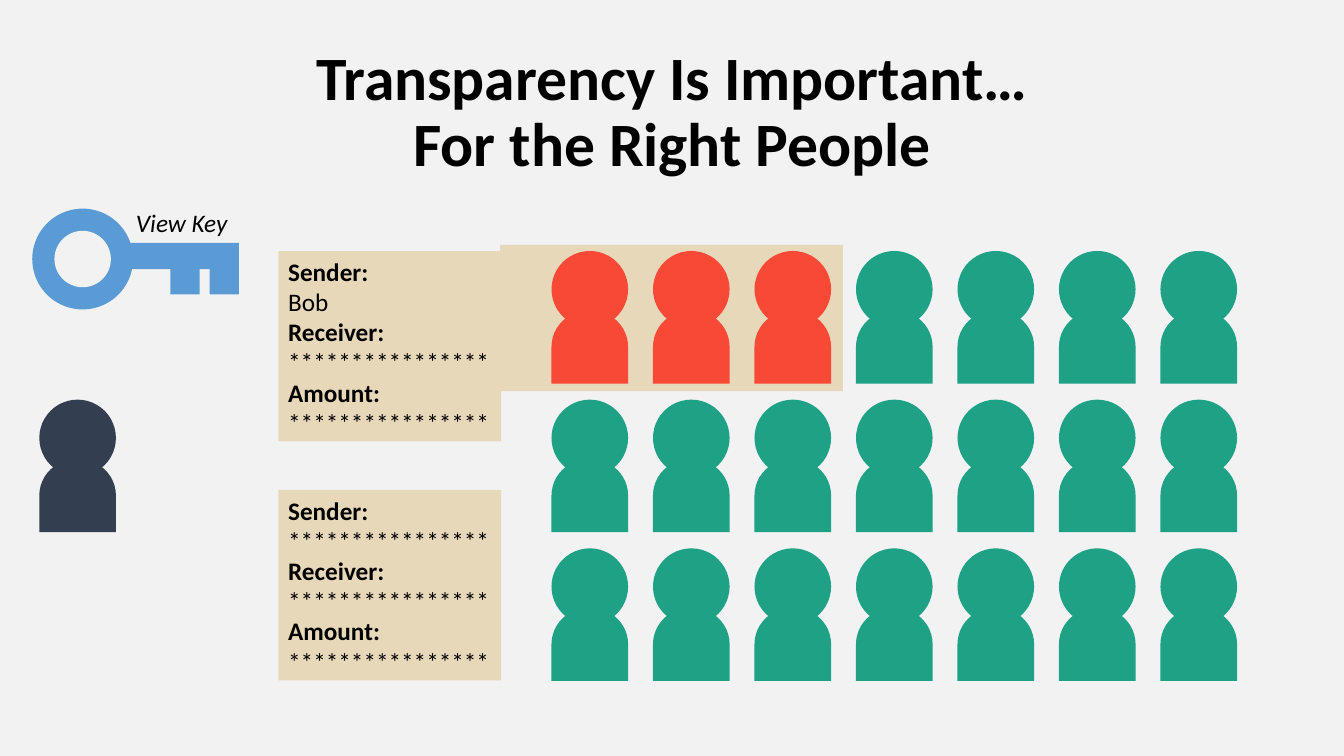
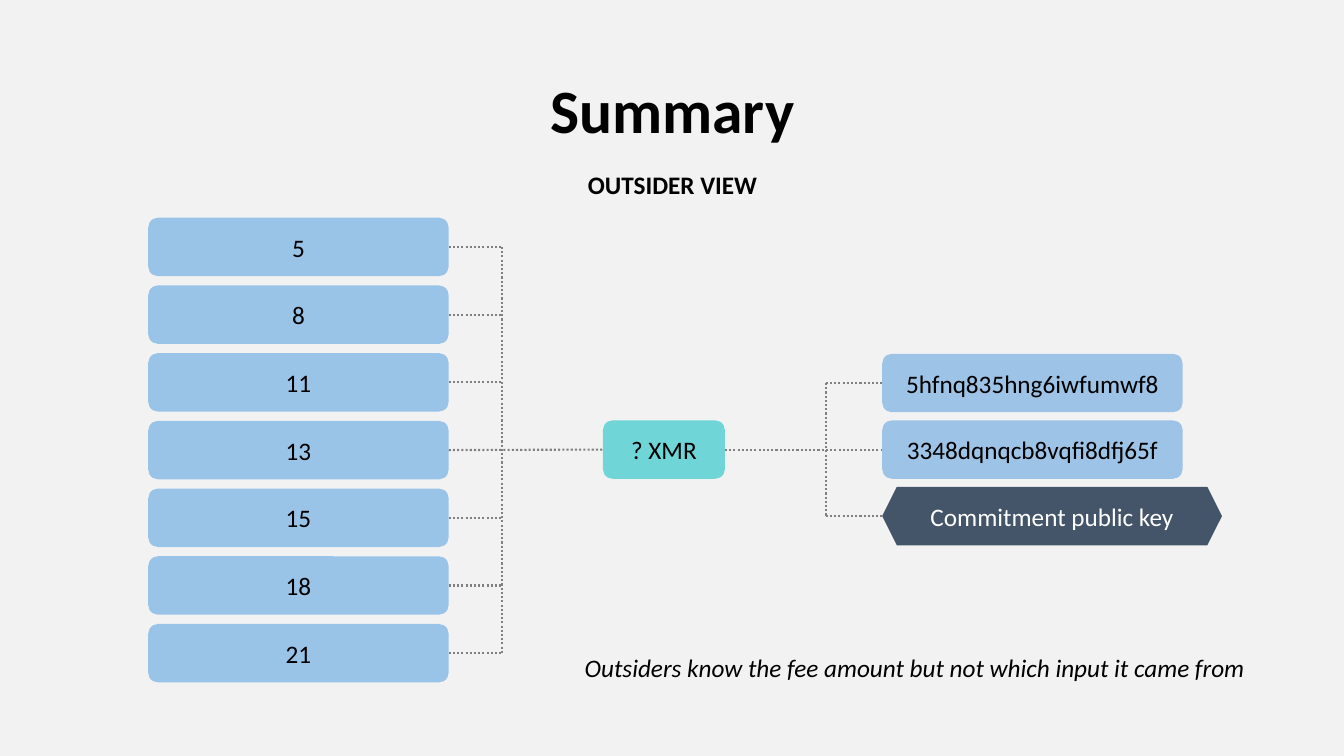
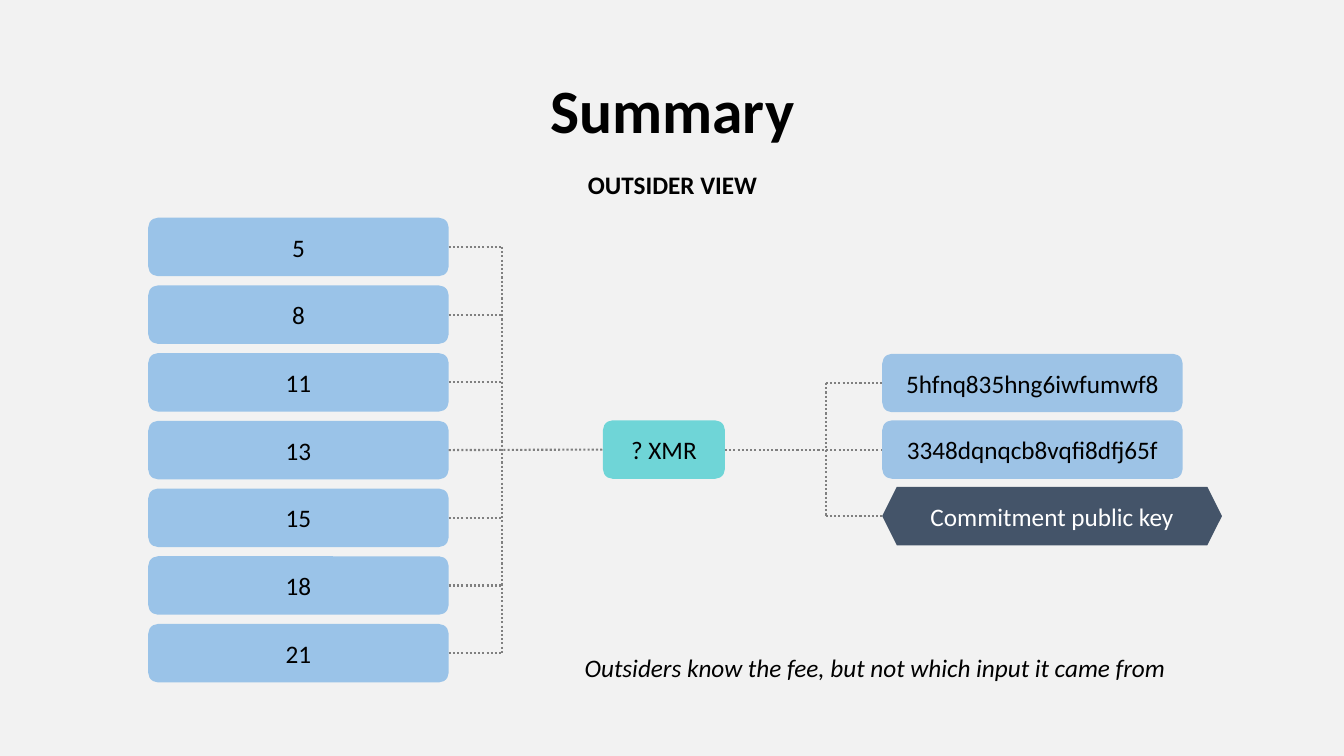
"""Build three slides on transaction privacy: view keys and the outsider view."""
from lxml import etree
from pptx import Presentation
from pptx.dml.color import RGBColor
from pptx.enum.dml import MSO_LINE_DASH_STYLE as Dash
from pptx.enum.shapes import MSO_CONNECTOR, MSO_SHAPE as Preset
from pptx.enum.text import MSO_ANCHOR as Anchor, PP_ALIGN as Align
from pptx.oxml.ns import qn
from pptx.util import Inches, Pt

FONT = "Calibri"
BACKGROUND = RGBColor(0xF2, 0xF2, 0xF2)
BLACK = RGBColor(0x00, 0x00, 0x00)
WHITE = RGBColor(0xFF, 0xFF, 0xFF)
SAND = RGBColor(0xE8, 0xD8, 0xBA)
RED = RGBColor(0xF8, 0x48, 0x36)
GREEN = RGBColor(0x1E, 0xA1, 0x85)
NAVY = RGBColor(0x33, 0x3F, 0x50)
KEY_BLUE = RGBColor(0x5B, 0x9B, 0xD5)
INPUT_BLUE = RGBColor(0x9A, 0xC3, 0xE8)
OUTPUT_BLUE = RGBColor(0x9D, 0xC3, 0xE6)
TEAL = RGBColor(0x6F, 0xD5, 0xD7)
SLATE = RGBColor(0x44, 0x54, 0x69)
GREY = RGBColor(0x80, 0x80, 0x80)

TITLE_PEOPLE = "Transparency Is Important…\vFor the Right People"
TITLE_SUMMARY = "Summary"
HIDDEN = "*" * 16
CARDS = [
    (2.49, ["Sender:", "Bob", "Receiver:", HIDDEN, "Amount:", HIDDEN]),
    (4.86, ["Sender:", HIDDEN, "Receiver:", HIDDEN, "Amount:", HIDDEN]),
]
KEY_PARTS = [
    (Preset.OVAL, 0.32, 2.07, 1, 1, KEY_BLUE),
    (Preset.OVAL, 0.54, 2.29, 0.56, 0.56, BACKGROUND),
    (Preset.RECTANGLE, 1.26, 2.41, 1.11, 0.26, KEY_BLUE),
    (Preset.RECTANGLE, 1.69, 2.58, 0.29, 0.34, KEY_BLUE),
    (Preset.RECTANGLE, 2.08, 2.58, 0.29, 0.34, KEY_BLUE),
]
CROWD_ROWS, CROWD_COLUMNS, INFORMED = 3, 7, 3
HEAD, BODY, SHOULDER = 0.76, 0.73, 0.57

INPUTS = ["5", "8", "11", "13", "15", "18", "21"]
OUTPUTS = [
    ("5hfnq835hng6iwfumwf8", Preset.ROUNDED_RECTANGLE, 2.98, OUTPUT_BLUE, BLACK),
    ("3348dqnqcb8vqfi8dfj65f", Preset.ROUNDED_RECTANGLE, 2.98, OUTPUT_BLUE, BLACK),
    ("Commitment public key", Preset.HEXAGON, 3.37, SLATE, WHITE),
]
NOTES = [
    ("Outsiders know the fee amount but not which input it came from", 6.88),
    ("Outsiders know the fee, but not which input it came from", 6.03),
]
BOX_HEIGHT = 0.58
INPUT_LEFT, INPUT_WIDTH = 1.47, 2.98
FEE_LEFT, FEE_TOP, FEE_WIDTH = 5.98, 4.17, 1.21
OUTPUT_LEFT = 8.75
INPUT_TRUNK, OUTPUT_TRUNK = 4.98, 8.19
LEFT_SIDE, RIGHT_SIDE = 1, 3


def spread(first, last, count):
    """Return evenly spaced positions from first to last."""
    return [first + (last - first) * index / (count - 1) for index in range(count)]


def write(shape, text, size=18, color=BLACK, bold=False, italic=False,
          align=Align.LEFT, spacing=None, append=False):
    """Write one paragraph of formatted text into a shape."""
    frame = shape.text_frame
    paragraph = frame.add_paragraph() if append else frame.paragraphs[0]
    paragraph.text = text
    paragraph.alignment = align
    if spacing:
        paragraph.line_spacing = spacing
    font = paragraph.font
    font.name, font.size, font.bold, font.italic = FONT, Pt(size), bold, italic
    font.color.rgb = color


def add_box(parent, preset, left, top, width, height, fill):
    """Add a plain filled shape to a slide or group."""
    shape = parent.shapes.add_shape(
        preset, Inches(left), Inches(top), Inches(width), Inches(height))
    shape.shadow.inherit = False
    shape.fill.solid()
    shape.fill.fore_color.rgb = fill
    shape.line.fill.background()
    return shape


def add_label(slide, text, left, top, width, height=0.4, wrap=False, anchor=Anchor.TOP,
              **style):
    """Add a text box holding one paragraph."""
    label = slide.shapes.add_textbox(
        Inches(left), Inches(top), Inches(width), Inches(height))
    label.text_frame.word_wrap = wrap
    label.text_frame.vertical_anchor = anchor
    write(label, text, **style)


def add_title(slide, text):
    """Add the shared slide title."""
    add_label(slide, text, 0.92, 0.4, 11.5, 1.45, wrap=True, anchor=Anchor.MIDDLE,
              size=44, bold=True, align=Align.CENTER, spacing=0.9)


def add_person(slide, left, top, color):
    """Add a figure made of a round head and an upturned body."""
    group = slide.shapes.add_group_shape()
    add_box(group, Preset.OVAL, left, top, HEAD, HEAD, color)
    body = add_box(group, Preset.FLOWCHART_DELAY, left + (HEAD - BODY) / 2,
                   top + SHOULDER, BODY, HEAD, color)
    body.rotation = 270


def add_dotted_line(slide, start, end, start_shape=None, end_shape=None):
    """Add a dotted line, joined to a right side at its start or a left side at its end."""
    line = slide.shapes.add_connector(
        MSO_CONNECTOR.STRAIGHT, *[Inches(value) for value in (*start, *end)])
    line.line.color.rgb = GREY
    line.line.width = Pt(1.5)
    line.line.dash_style = Dash.ROUND_DOT
    etree.SubElement(line._element.spPr, qn("a:effectLst"))
    if start_shape is not None:
        line.begin_connect(start_shape, RIGHT_SIDE)
    if end_shape is not None:
        line.end_connect(end_shape, LEFT_SIDE)


def build_people(slide):
    """Draw the view key, the transaction cards and the crowd."""
    add_box(slide, Preset.RECTANGLE, 4.96, 2.43, 3.4, 1.45, SAND)
    add_title(slide, TITLE_PEOPLE)
    row_tops = spread(2.49, 5.44, CROWD_ROWS)
    for row, top in enumerate(row_tops):
        for column, left in enumerate(spread(5.47, 11.51, CROWD_COLUMNS)):
            informed = row == 0 and column < INFORMED
            add_person(slide, left, top, RED if informed else GREEN)
    for top, lines in CARDS:
        card = add_box(slide, Preset.RECTANGLE, 2.76, top, 2.21, 1.89, SAND)
        card.text_frame.vertical_anchor = Anchor.TOP
        for index, text in enumerate(lines):
            write(card, text, bold=text.endswith(":"), append=index > 0)
    add_person(slide, 0.39, row_tops[1], NAVY)
    for part in KEY_PARTS:
        add_box(slide, *part)
    add_label(slide, "View Key", 1.25, 2.01, 1.12, italic=True)


def build_summary(slide, note, note_width):
    """Draw the inputs, the hidden fee and the outputs as outsiders see them."""
    add_title(slide, TITLE_SUMMARY)
    half = BOX_HEIGHT / 2
    fee = add_box(slide, Preset.ROUNDED_RECTANGLE, FEE_LEFT, FEE_TOP, FEE_WIDTH,
                  BOX_HEIGHT, TEAL)
    write(fee, "? XMR", align=Align.CENTER)
    fee_middle = FEE_TOP + half

    input_tops = spread(2.16, 6.19, len(INPUTS))
    for index, (text, top) in enumerate(zip(INPUTS, input_tops)):
        box = add_box(slide, Preset.ROUNDED_RECTANGLE, INPUT_LEFT, top, INPUT_WIDTH,
                      BOX_HEIGHT, INPUT_BLUE)
        write(box, text, align=Align.CENTER)
        start = (INPUT_LEFT + INPUT_WIDTH, top + half)
        if index == len(INPUTS) // 2:
            add_dotted_line(slide, start, (FEE_LEFT, fee_middle), box, fee)
        else:
            add_dotted_line(slide, start, (INPUT_TRUNK, top + half), box)
    add_dotted_line(slide, (INPUT_TRUNK, input_tops[0] + half),
                    (INPUT_TRUNK, input_tops[-1] + half))

    output_tops = spread(3.51, 4.83, len(OUTPUTS))
    for index, (output, top) in enumerate(zip(OUTPUTS, output_tops)):
        text, preset, width, fill, color = output
        box = add_box(slide, preset, OUTPUT_LEFT, top, width, BOX_HEIGHT, fill)
        write(box, text, color=color, align=Align.CENTER)
        joined = box if preset == Preset.ROUNDED_RECTANGLE else None
        end = (OUTPUT_LEFT, top + half)
        if index == len(OUTPUTS) // 2:
            add_dotted_line(slide, (FEE_LEFT + FEE_WIDTH, fee_middle), end, fee, joined)
        else:
            add_dotted_line(slide, (OUTPUT_TRUNK, top + half), end, end_shape=joined)
    add_dotted_line(slide, (OUTPUT_TRUNK, output_tops[0] + half),
                    (OUTPUT_TRUNK, output_tops[-1] + half))

    add_label(slide, "OUTSIDER VIEW", 5.72, 1.63, 1.9, bold=True, align=Align.CENTER)
    add_label(slide, note, 5.7, 6.42, note_width, italic=True)


def main():
    """Build and save the presentation."""
    presentation = Presentation()
    presentation.slide_width, presentation.slide_height = Inches(13.33), Inches(7.5)
    background = presentation.slide_master.background.fill
    background.solid()
    background.fore_color.rgb = BACKGROUND
    blank = presentation.slide_layouts[6]
    build_people(presentation.slides.add_slide(blank))
    for note, width in NOTES:
        build_summary(presentation.slides.add_slide(blank), note, width)
    presentation.save("out.pptx")


if __name__ == "__main__":
    main()
